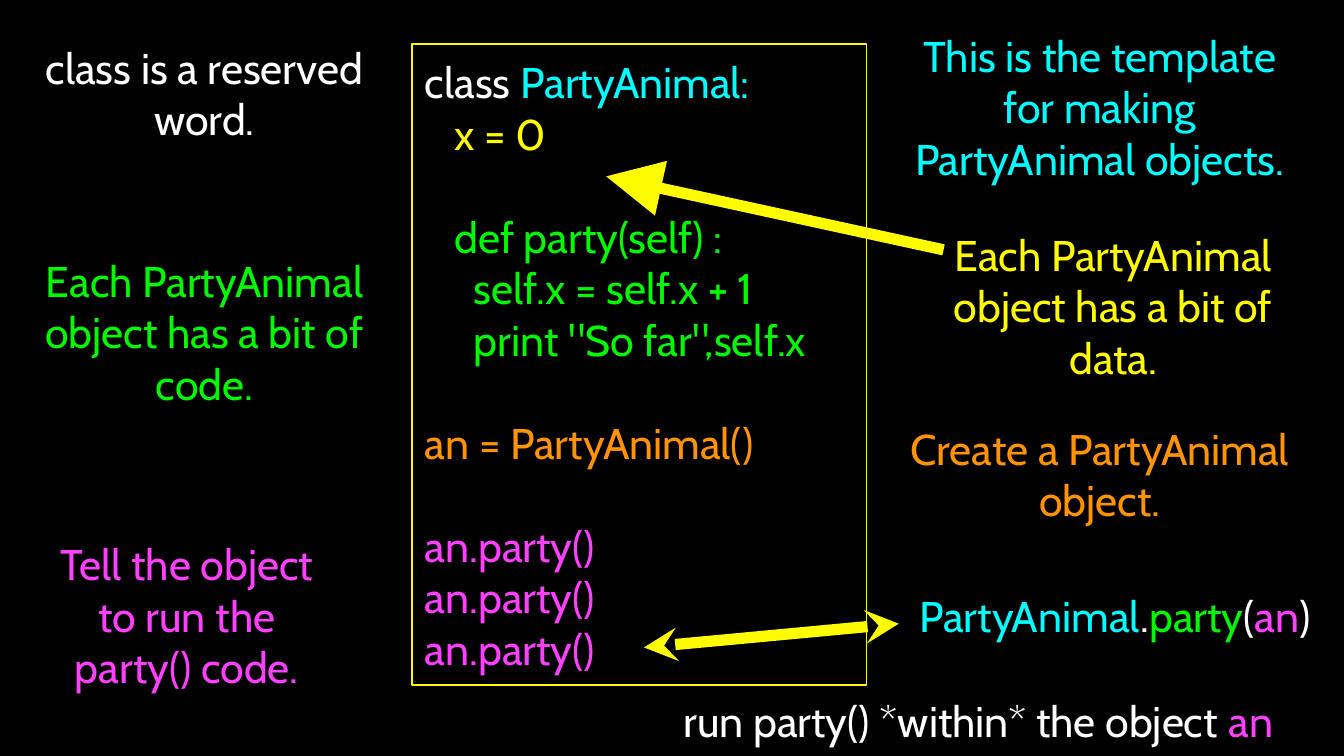
"""Build a slide that explains the parts of the PartyAnimal class."""
from lxml import etree
from pptx import Presentation
from pptx.dml.color import RGBColor
from pptx.enum.shapes import MSO_CONNECTOR, MSO_SHAPE
from pptx.enum.text import MSO_ANCHOR, PP_ALIGN
from pptx.oxml.ns import qn
from pptx.util import Pt

RECT, STRAIGHT = MSO_SHAPE.RECTANGLE, MSO_CONNECTOR.STRAIGHT
MIDDLE, LEFT, CENTER = MSO_ANCHOR.MIDDLE, PP_ALIGN.LEFT, PP_ALIGN.CENTER
PX = 4762.5
WIDTH, HEIGHT = 1920, 1080
FONT, SIZE, LINE_PITCH = "Cabin", 23, 27.6
INSET, INDENT = 4, 14

BLACK, WHITE, YELLOW = "000000", "FFFFFF", "FFFB00"
CYAN, GREEN, ORANGE, PINK = "00FDFF", "00F900", "FF9300", "FF40FF"

CODE_BOX = (589, 63, 649, 916)
# indent steps, gap lines before, runs
CODE = [
    (1, 0, [("class ", WHITE), ("PartyAnimal:", CYAN)]),
    (4, 0, [("x = 0", YELLOW)]),
    (4, 1, [("def party(self) :", GREEN)]),
    (6, 0, [("self.x = self.x + 1", GREEN)]),
    (6, 0, [('print "So far",self.x', GREEN)]),
    (1, 1, [("an = PartyAnimal()", ORANGE)]),
    (1, 1, [("an.party()", PINK)]),
    (1, 0, [("an.party()", PINK)]),
    (1, 0, [("an.party()", PINK)]),
]
NOTES = [
    ((1294, 44, 555, 217), [("This is the template for making PartyAnimal objects.", CYAN)]),
    ((15, 63, 555, 140), [("class is a reserved word.", WHITE)]),
    ((1313, 334, 555, 205), [("Each PartyAnimal object has a bit of data.", YELLOW)]),
    ((15, 371, 555, 205), [("Each PartyAnimal object has a bit of code.", GREEN)]),
    ((1294, 607, 555, 140), [("Create a PartyAnimal object.", ORANGE)]),
    ((52, 776, 430, 205), [("Tell the object to run the party() code.", PINK)]),
    ((956, 991, 883, 75), [("run party() *within* the object ", WHITE), ("an", PINK)]),
    ((1304, 839, 578, 79), [("PartyAnimal", CYAN), (".", WHITE), ("party", GREEN),
                            ("(", WHITE), ("an", PINK), (")", WHITE)]),
]
ARROWS = [
    ((866, 252, 1348, 357), {"headEnd": ("triangle", "lg")}),
    ((920, 925, 1284, 891), {"headEnd": ("stealth", "med"), "tailEnd": ("stealth", "med")}),
]


def px(*lengths):
    return [round(n * PX) for n in lengths]


def rgb(color):
    return RGBColor.from_string(color)


def set_frame(tf):
    tf.word_wrap = True
    tf.vertical_anchor = MIDDLE
    tf.margin_left, tf.margin_top, tf.margin_right, tf.margin_bottom = px(*[INSET] * 4)


def add_runs(p, runs, align):
    p.alignment = align
    for text, color in runs:
        r = p.add_run()
        r.text = text
        r.font.name, r.font.size = FONT, Pt(SIZE)
        r.font.color.rgb = rgb(color)


def add_code(slide):
    sp = slide.shapes.add_shape(RECT, *px(*CODE_BOX))
    sp.shadow.inherit = False
    sp.fill.background()
    sp.line.color.rgb, sp.line.width = rgb(YELLOW), Pt(1)
    tf = sp.text_frame
    set_frame(tf)
    for i, (steps, gap, runs) in enumerate(CODE):
        p = tf.add_paragraph() if i else tf.paragraphs[0]
        add_runs(p, runs, LEFT)
        p.space_before = Pt(gap * LINE_PITCH)
        pPr = p._p.get_or_add_pPr()
        pPr.set("marL", str(round(steps * INDENT * PX)))
        pPr.set("indent", "0")


def add_note(slide, box, runs):
    tf = slide.shapes.add_textbox(*px(*box)).text_frame
    set_frame(tf)
    add_runs(tf.paragraphs[0], runs, CENTER)


def add_arrow(slide, ends, heads):
    line = slide.shapes.add_connector(STRAIGHT, *px(*ends))
    line.line.color.rgb, line.line.width = rgb(YELLOW), Pt(6)
    ln = line.line._get_or_add_ln()
    for tag, (kind, size) in heads.items():
        etree.SubElement(ln, qn("a:" + tag), type=kind, w=size, len=size)
    etree.SubElement(line._element.spPr, qn("a:effectLst"))


def main():
    prs = Presentation()
    prs.slide_width, prs.slide_height = px(WIDTH, HEIGHT)
    slide = prs.slides.add_slide(prs.slide_layouts[6])
    slide.background.fill.solid()
    slide.background.fill.fore_color.rgb = rgb(BLACK)
    add_code(slide)
    for box, runs in NOTES:
        add_note(slide, box, runs)
    for ends, heads in ARROWS:
        add_arrow(slide, ends, heads)
    prs.save("out.pptx")


if __name__ == "__main__":
    main()
